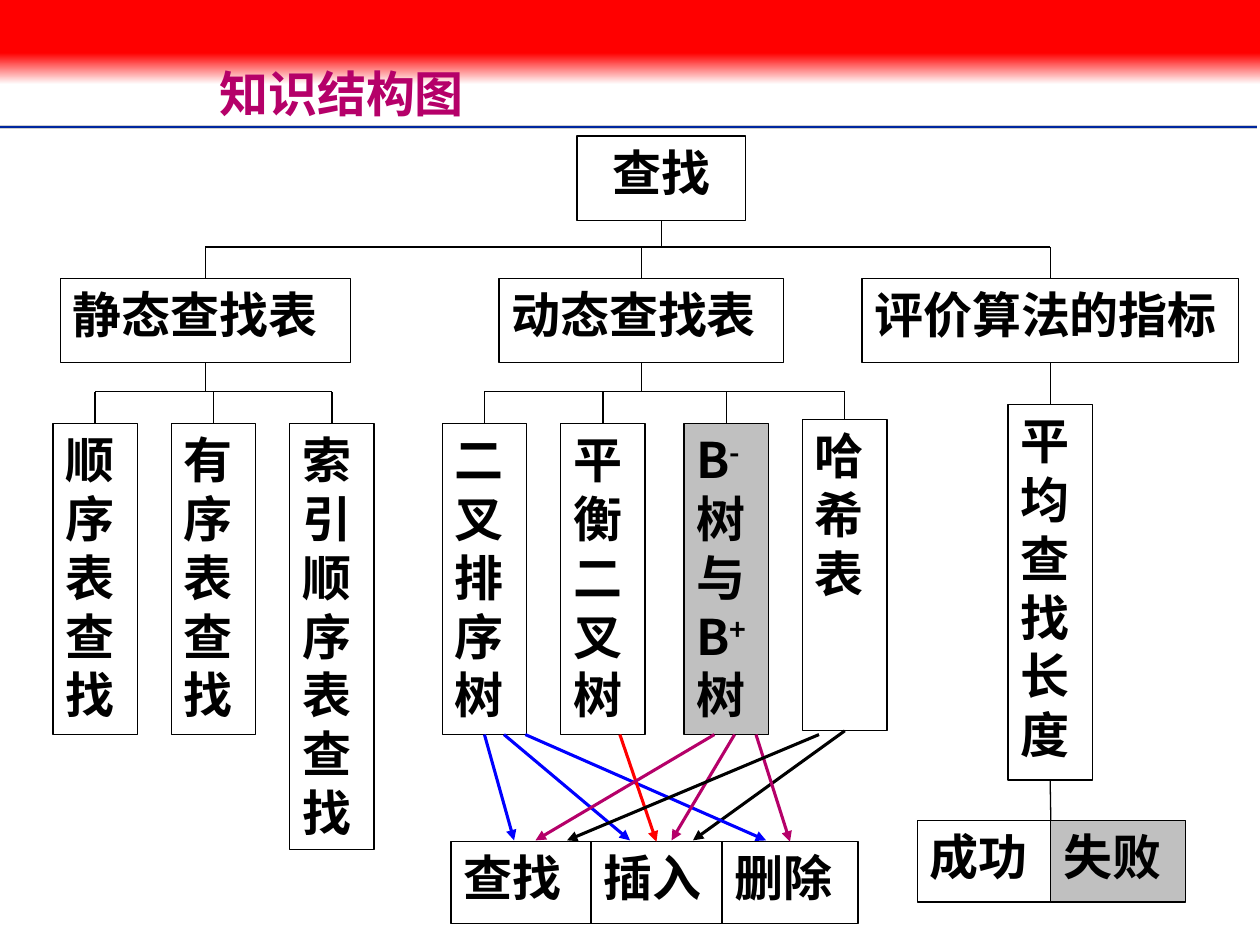
from lxml import etree
from pptx import Presentation
from pptx.dml.color import RGBColor
from pptx.enum.shapes import MSO_CONNECTOR, MSO_SHAPE
from pptx.enum.text import MSO_ANCHOR, MSO_AUTO_SIZE, PP_ALIGN
from pptx.oxml.ns import qn
from pptx.util import Inches, Pt

RECTANGLE = MSO_SHAPE.RECTANGLE
STRAIGHT = MSO_CONNECTOR.STRAIGHT
TOP_ANCHOR, MIDDLE_ANCHOR = MSO_ANCHOR.TOP, MSO_ANCHOR.MIDDLE
NO_AUTOFIT = MSO_AUTO_SIZE.NONE
LEFT, CENTER, JUSTIFY = PP_ALIGN.LEFT, PP_ALIGN.CENTER, PP_ALIGN.JUSTIFY
TOP_SIDE, BOTTOM_SIDE = 0, 2

BLACK = RGBColor(0x00, 0x00, 0x00)
WHITE = RGBColor(0xFF, 0xFF, 0xFF)
GRAY = RGBColor(0xC0, 0xC0, 0xC0)
SILVER = RGBColor(0xCE, 0xCE, 0xCE)
NAVY = RGBColor(0x00, 0x27, 0x9F)
RED = RGBColor(0xFF, 0x00, 0x00)
BLUE = RGBColor(0x00, 0x00, 0xFF)
PURPLE = RGBColor(0xB5, 0x00, 0x69)

CJK_FONT = "Noto Sans CJK SC"
BODY_FORMAT = {"name": CJK_FONT, "size": Pt(28), "bold": True}
TITLE_FORMAT = {"name": "Arial", "size": Pt(28), "bold": True}
LEAF_WIDTH, LEAF_HEIGHT = 0.67, 2.47


def format_span(span, values, color):
    """Apply font values, colour and the East Asian typeface to a run."""
    for name, value in values.items():
        setattr(span.font, name, value)
    span.font.color.rgb = color
    east_asian = etree.SubElement(span.font._element, qn("a:ea"))
    east_asian.set("typeface", CJK_FONT)


def add_panel(page, box, fill):
    """Add a plain rectangle without outline or shadow."""
    panel = page.shapes.add_shape(RECTANGLE, *map(Inches, box))
    panel.shadow.inherit = False
    panel.line.fill.background()
    panel.fill.solid()
    panel.fill.fore_color.rgb = fill
    return panel


def add_node(page, box, text, fill=WHITE, align=JUSTIFY):
    """Add an outlined node; text is a string or paragraphs whose odd pieces are raised."""
    node = add_panel(page, box, fill)
    node.line.color.rgb = BLACK
    node.line.width = Pt(0.75)
    frame = node.text_frame
    frame.word_wrap = True
    frame.vertical_anchor = TOP_ANCHOR
    paragraphs = [[text]] if isinstance(text, str) else text
    for number, pieces in enumerate(paragraphs):
        para = frame.add_paragraph() if number else frame.paragraphs[0]
        para.alignment = align
        for index, piece in enumerate(pieces):
            span = para.add_run()
            span.text = piece
            format_span(span, BODY_FORMAT, BLACK)
            if index % 2:
                span.font._element.set("baseline", "30000")
    return node


def add_link(page, start, end, color=BLACK, width=0.75, arrow=False, source=None, target=None):
    """Draw a line, joined to the bottom of source and the top of target when given."""
    link = page.shapes.add_connector(STRAIGHT, *map(Inches, (*start, *end)))
    link.line.color.rgb = color
    link.line.width = Pt(width)
    if arrow:
        etree.SubElement(link.line._get_or_add_ln(), qn("a:tailEnd")).set("type", "triangle")
    etree.SubElement(link._element.spPr, qn("a:effectLst"))
    if source is not None:
        link.begin_connect(source, BOTTOM_SIDE)
    if target is not None:
        link.end_connect(target, TOP_SIDE)


def connect_children(page, parent, children, bus_top):
    """Join a parent to its children by a stem, a horizontal bus and drops."""
    middle = (parent.left + parent.width / 2) / Inches(1)
    bottom = (parent.top + parent.height) / Inches(1)
    centers = [(child.left + child.width / 2) / Inches(1) for child in children]
    add_link(page, (middle, bottom), (middle, bus_top), source=parent)
    add_link(page, (centers[0], bus_top), (centers[-1], bus_top))
    for center, child in zip(centers, children):
        add_link(page, (center, bus_top), (center, child.top / Inches(1)), target=child)


def add_header(page, box, text):
    """Place the red banner, its fade, the rule and the title."""
    left, top, width, height = box
    fade = add_panel(page, (left, top + 0.42, width, 0.25), RED)
    fade.fill.gradient()
    fade.fill.gradient_angle = 270
    for stop, color, position in zip(fade.fill.gradient_stops, (RED, WHITE), (0, 1)):
        stop.color.rgb = color
        stop.position = position
    add_panel(page, (left, top, width, 0.42), RED)
    for offset, color, weight in ((0.02, SILVER, 2), (0.02, NAVY, 1), (0, WHITE, 1)):
        rule_top = top + height - offset
        add_link(page, (left, rule_top), (left + width - 0.02, rule_top), color, weight)

    title = page.shapes.title
    page.shapes._spTree.append(title._element)
    title.left, title.top, title.width, title.height = map(Inches, (left + 1.74, top + 0.4, 7.83, 0.74))
    frame = title.text_frame
    frame_format = {"margin_left": 0, "margin_top": 0, "margin_right": 0, "margin_bottom": 0,
                    "vertical_anchor": MIDDLE_ANCHOR, "word_wrap": True, "auto_size": NO_AUTOFIT}
    for name, value in frame_format.items():
        setattr(frame, name, value)
    para = frame.paragraphs[0]
    para.alignment = LEFT
    para.line_spacing = 0.9
    span = para.add_run()
    span.text = text
    format_span(span, TITLE_FORMAT, PURPLE)


def add_branch(page, box, text, indent, leaves):
    """Place a category node with its leaves; each leaf is offset, drop, height, text, fill."""
    left, top, width, height = box
    parent = add_node(page, (left + indent, top, width, height), text)
    children = [
        add_node(page, (left + offset, top + drop, LEAF_WIDTH, leaf_height), leaf, fill)
        for offset, drop, leaf_height, leaf, fill in leaves
    ]
    if len(children) > 1:
        connect_children(page, parent, children, top + 0.9)
    else:
        add_link(page, (left, top), (left, top), source=parent, target=children[0])
    return parent, children


def add_row(page, box, cells):
    """Place adjoining nodes in a row; each cell is width, text, fill."""
    left, top, height = box
    nodes = []
    for width, text, fill in cells:
        nodes.append(add_node(page, (left, top, width, height), text, fill))
        left += width
    return nodes


def add_operation_arrows(page, top, bottom, leaves, operations):
    """Draw the arrows from the dynamic tables to the operations they support."""
    binary_tree, _, _, hash_table = leaves
    _, insertion, deletion = operations
    arrows = [
        (3.85, 4.08, BLUE, binary_tree, None),
        (6.69, 5.5, BLACK, hash_table, None),
        (4, 5, BLUE, None, None),
        (4.17, 6.08, BLUE, None, None),
        (4.92, 5.17, RED, None, insertion),
        (6, 6.25, PURPLE, None, deletion),
        (5.83, 5.33, PURPLE, None, None),
        (5.67, 4.25, PURPLE, None, None),
        (6.5, 4.5, BLACK, None, None),
    ]
    for start, end, color, source, target in arrows:
        add_link(page, (start, top), (end, bottom), color, 1.75, True, source, target)


def main():
    """Build the knowledge structure slide."""
    deck = Presentation()
    deck.slide_width, deck.slide_height = Inches(10), Inches(7.5)
    page = deck.slides.add_slide(deck.slide_layouts[5])
    add_header(page, (0, 0, 10, 1.03), "知识结构图")

    root = add_node(page, (4.58, 1.08, 1.34, 0.67), "查找", align=CENTER)
    static, _ = add_branch(page, (0.42, 2.21, 2.3, 0.67), "静态查找表", 0.06, [
        (0, 1.15, LEAF_HEIGHT, "顺序表查找", WHITE),
        (0.94, 1.15, LEAF_HEIGHT, "有序表查找", WHITE),
        (1.88, 1.15, 3.38, "索引顺序表查找", WHITE),
    ])
    b_trees = [["B", "-", "树与B", "+"], ["树"]]
    dynamic, tables = add_branch(page, (3.51, 2.21, 2.26, 0.67), "动态查找表", 0.45, [
        (0, 1.15, LEAF_HEIGHT, "二叉排序树", WHITE),
        (0.94, 1.15, LEAF_HEIGHT, "平衡二叉树", WHITE),
        (1.92, 1.15, LEAF_HEIGHT, b_trees, GRAY),
        (2.86, 1.12, LEAF_HEIGHT, "哈希表", WHITE),
    ])
    metrics, lengths = add_branch(page, (6.84, 2.21, 2.99, 0.67), "评价算法的指标", 0, [
        (1.16, 1, 2.98, "平均查找长度", WHITE),
    ])
    connect_children(page, root, [static, dynamic, metrics], 1.96)

    operations = add_row(page, (3.58, 6.68, 0.65), [
        (1.11, "查找", WHITE), (1.04, "插入", WHITE), (1.08, "删除", WHITE)])
    add_row(page, (7.28, 6.51, 0.65), [(1.06, "成功", WHITE), (1.07, "失败", GRAY)])
    add_link(page, (8.34, 6.19), (8.34, 6.51), source=lengths[0])
    add_operation_arrows(page, 5.83, 6.67, tables, operations)
    deck.save("out.pptx")


if __name__ == "__main__":
    main()
